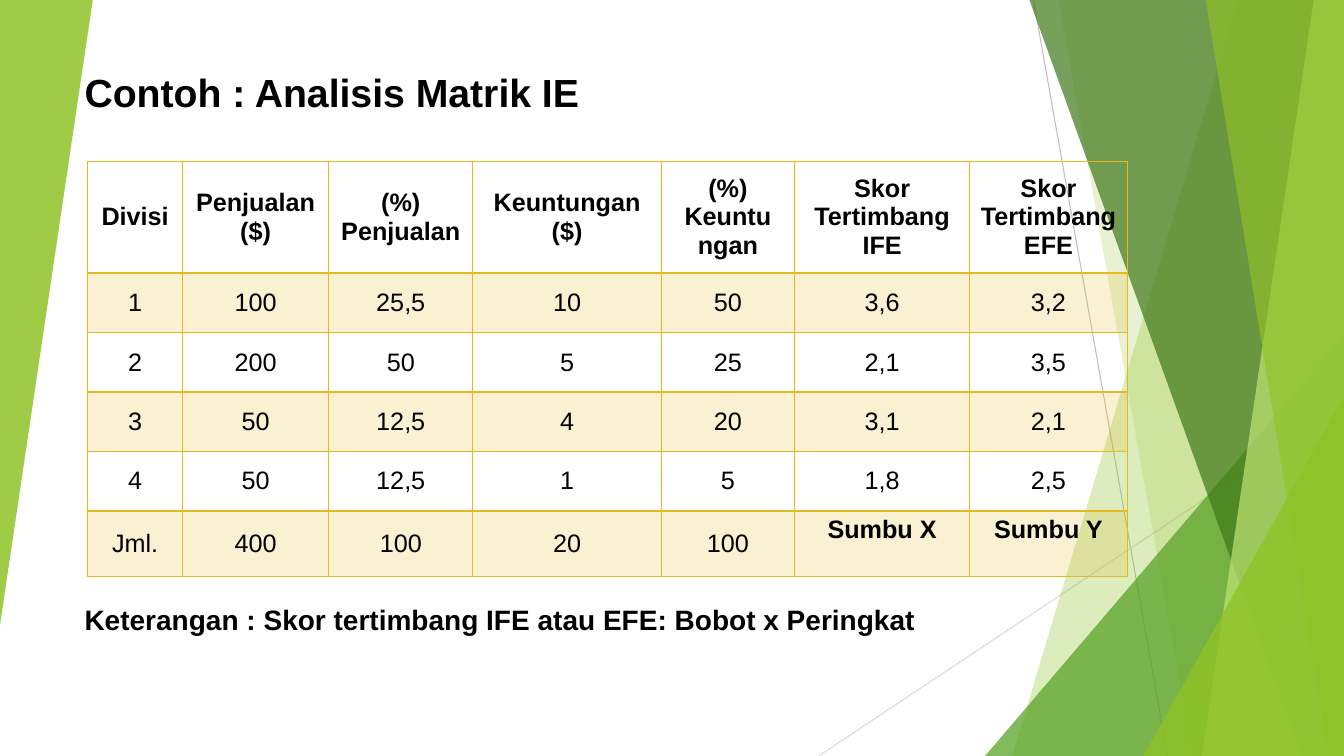
from lxml import etree
from pptx import Presentation
from pptx.dml.color import RGBColor
from pptx.enum import shapes, text
from pptx.oxml import ns
from pptx.util import Inches, Pt

BLACK = RGBColor(0x00, 0x00, 0x00)
GOLD = RGBColor(0xE6, 0xB9, 0x1E)
LIME = RGBColor(0x90, 0xC2, 0x26)
PALE_LIME = RGBColor(0xC0, 0xE4, 0x74)
GREEN = RGBColor(0x54, 0xA0, 0x21)
DARK_GREEN = RGBColor(0x3F, 0x78, 0x19)
GREY = RGBColor(0xBF, 0xBF, 0xBF)
LIGHT_GREY = RGBColor(0xD9, 0xD9, 0xD9)

WIDTH, HEIGHT = 13.33, 7.5

HEADING = "Contoh : Analisis Matrik IE"
REMARK = "Keterangan : Skor tertimbang IFE atau EFE: Bobot x Peringkat"

HEADERS = ["Divisi", "Penjualan\n($)", "(%) Penjualan", "Keuntungan\n($)",
           "(%) Keuntu\nngan", "Skor Tertimbang IFE", "Skor Tertimbang\nEFE"]
DIVISIONS = [
    ["1", "100", "25,5", "10", "50", "3,6", "3,2"],
    ["2", "200", "50", "5", "25", "2,1", "3,5"],
    ["3", "50", "12,5", "4", "20", "3,1", "2,1"],
    ["4", "50", "12,5", "1", "5", "1,8", "2,5"],
    ["Jml.", "400", "100", "20", "100", "Sumbu X", "Sumbu Y"],
]
COLUMN_WIDTHS = [0.94, 1.45, 1.43, 1.87, 1.32, 1.74, 1.56]
ROW_HEIGHTS = [1.11, 0.59, 0.59, 0.59, 0.59, 0.65]

RAYS = [
    ((10.25, 0), (11.58, HEIGHT), GREY),
    ((WIDTH, 4.03), (8.12, HEIGHT), LIGHT_GREY),
]
# (top x, bottom x) for bands that run to the right edge; (left, top) for corners
FACETS = [
    ("band", 12.28, 10.04, LIME, 30),
    ("band", 10.5, 11.83, LIME, 20),
    ("corner", 9.77, 3.33, GREEN, 72),
    ("band", 10.21, 12.91, DARK_GREEN, 70),
    ("band", 13.03, 11.92, PALE_LIME, 70),
    ("band", 11.96, 13.18, LIME, 65),
    ("corner", 11.34, 3.93, LIME, 80),
]
LEFT_FACET = (0.92, 6.2)


def set_fill(fill, color, opacity):
    fill.solid()
    fill.fore_color.rgb = color
    tint = fill._xPr.find(".//" + ns.qn("a:srgbClr"))
    etree.SubElement(tint, ns.qn("a:alpha"), val=str(opacity * 1000))


def finish_facet(facet, color, opacity):
    facet.shadow.inherit = False
    facet.line.fill.background()
    set_fill(facet.fill, color, opacity)


def add_corner(slide, left, top, width, height):
    corner = slide.shapes.add_shape(
        shapes.MSO_SHAPE.ISOSCELES_TRIANGLE,
        Inches(left), Inches(top), Inches(width), Inches(height))
    corner.adjustments[0] = 1
    return corner


def add_band(slide, top_x, bottom_x):
    outline = [(WIDTH, 0), (WIDTH, HEIGHT), (bottom_x, HEIGHT)]
    builder = slide.shapes.build_freeform(Inches(top_x), 0)
    builder.add_line_segments([(Inches(x), Inches(y)) for x, y in outline])
    return builder.convert_to_shape()


def add_ray(slide, start, end, color):
    ray = slide.shapes.add_connector(
        shapes.MSO_CONNECTOR.STRAIGHT, *[Inches(v) for v in start + end])
    ray.line.color.rgb = color
    ray.line.width = Pt(0.75)
    etree.SubElement(ray._element.spPr, ns.qn("a:effectLst"))


def write(frame, content, size=18, bold=False, align=text.PP_ALIGN.CENTER):
    frame.word_wrap = True
    for i, line in enumerate(content.split("\n")):
        paragraph = frame.add_paragraph() if i else frame.paragraphs[0]
        paragraph.alignment = align
        run = paragraph.add_run()
        run.text = line
        run.font.name = "Arial"
        run.font.size = Pt(size)
        run.font.bold = bold
        run.font.color.rgb = BLACK


def add_statement(slide, content, top, size):
    statement = slide.shapes.add_textbox(
        Inches(0.74), Inches(top), Inches(10.44), Inches(0.6))
    write(statement.text_frame, content, size=size, bold=True,
          align=text.PP_ALIGN.JUSTIFY)


def set_borders(cell, widths):
    properties = cell._tc.get_or_add_tcPr()
    for i, (side, width) in enumerate(widths.items()):
        border = etree.Element(ns.qn("a:" + side), w=str(Pt(width)))
        solid = etree.SubElement(border, ns.qn("a:solidFill"))
        etree.SubElement(solid, ns.qn("a:srgbClr"), val=str(GOLD))
        properties.insert(i, border)


def add_matrix(slide):
    rows = [HEADERS] + DIVISIONS
    matrix = slide.shapes.add_table(
        len(rows), len(HEADERS), Inches(0.87), Inches(1.6),
        Inches(sum(COLUMN_WIDTHS)), Inches(sum(ROW_HEIGHTS))).table
    matrix.first_row = matrix.horz_banding = False
    for column, width in zip(matrix.columns, COLUMN_WIDTHS):
        column.width = Inches(width)
    for r, entries in enumerate(rows):
        matrix.rows[r].height = Inches(ROW_HEIGHTS[r])
        for c, entry in enumerate(entries):
            cell = matrix.cell(r, c)
            axis = entry.startswith("Sumbu")
            write(cell.text_frame, entry, bold=r == 0 or axis)
            cell.vertical_anchor = (text.MSO_ANCHOR.TOP if axis
                                    else text.MSO_ANCHOR.MIDDLE)
            if r % 2:
                set_fill(cell.fill, GOLD, 20)
            else:
                cell.fill.background()
            set_borders(cell, {"lnL": 1, "lnR": 1,
                               "lnT": 2 if r == 1 else 1,
                               "lnB": 2 if r == 0 else 1})


def main():
    deck = Presentation()
    deck.slide_width, deck.slide_height = Inches(WIDTH), Inches(HEIGHT)
    slide = deck.slides.add_slide(deck.slide_layouts[6])
    for ray in RAYS:
        add_ray(slide, *ray)
    for kind, first, second, color, opacity in FACETS:
        if kind == "band":
            facet = add_band(slide, first, second)
        else:
            facet = add_corner(slide, first, second,
                               WIDTH - first, HEIGHT - second)
        finish_facet(facet, color, opacity)
    left_facet = add_corner(slide, 0, 0, *LEFT_FACET)
    left_facet.rotation = 180
    finish_facet(left_facet, LIME, 85)
    add_statement(slide, HEADING, 0.63, 28)
    add_statement(slide, REMARK, 5.93, 20)
    add_matrix(slide)
    deck.save("out.pptx")


if __name__ == "__main__":
    main()
